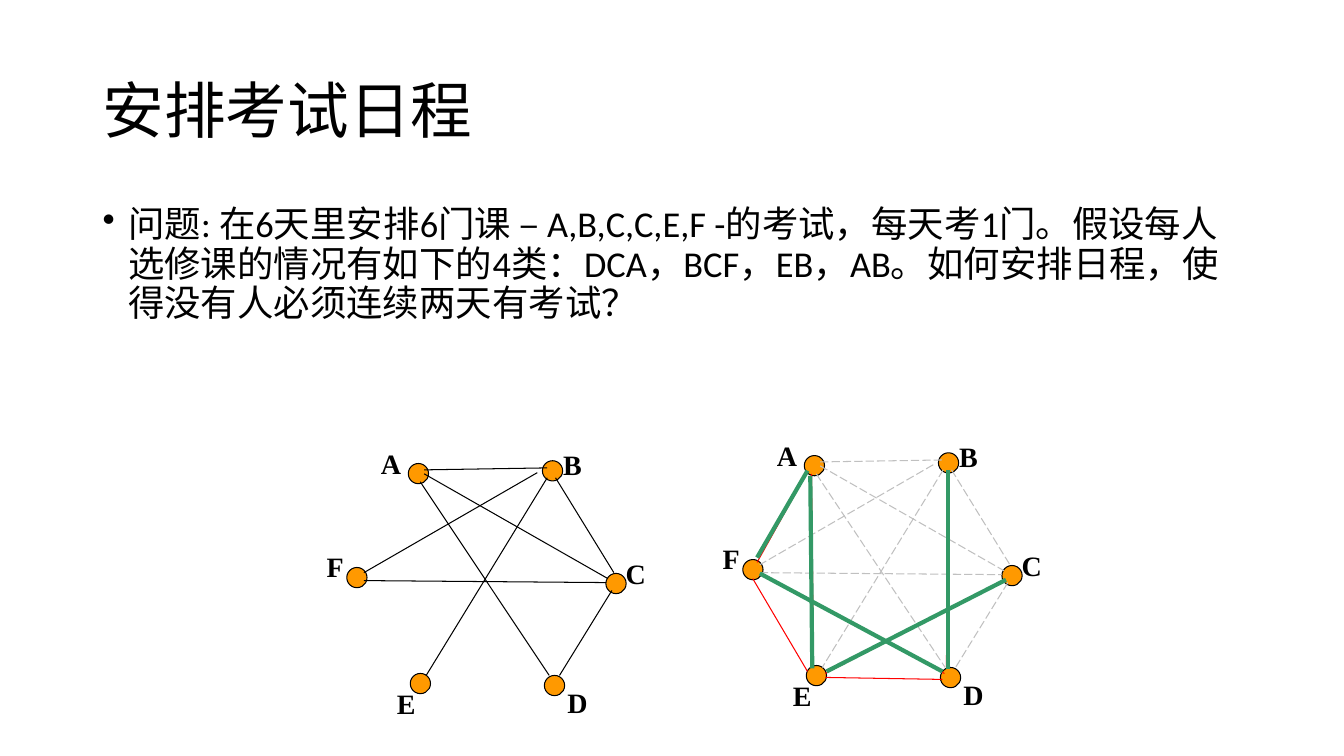
"""Build the exam-timetable slide with its conflict graph and the complement graph."""
from pptx import Presentation
from pptx import util as u
from pptx.dml.color import RGBColor
from pptx.enum import dml, shapes, text
from pptx.oxml.ns import qn

NODES = {"A": (10.29, 11.68), "B": (13.67, 11.61), "F": (8.74, 14.3),
         "C": (15.27, 14.45), "E": (10.34, 16.97), "D": (13.72, 17.02)}
LABELS = {"A": (9.35, 11.13), "B": (13.94, 11.15), "C": (15.52, 13.89),
          "D": (14.05, 17.15), "E": (9.75, 17.17), "F": (7.98, 13.72)}
CONFLICTS = [(10.59, 12.14, 13.84, 17.02), (10.69, 11.94, 15.32, 14.58),
             (15.42, 14.88, 14.1, 17.02), (14, 12.04, 15.47, 14.43),
             (13.54, 11.91, 9.17, 14.43), (9.17, 14.63, 15.27, 14.68),
             (13.79, 12.04, 10.74, 17.02), (10.69, 11.84, 13.79, 11.79)]
COMPATIBLE = [(20.35, 11.89, 19.08, 14.17), (20.45, 11.94, 20.5, 16.76),
              (23.9, 11.89, 23.85, 16.81), (25.32, 14.63, 20.8, 16.97),
              (19.18, 14.48, 23.8, 16.97), (20.8, 17.07, 23.75, 17.12),
              (18.97, 14.58, 20.35, 16.92)]
SCHEDULE = [(23.9, 11.84, 23.9, 16.87), (19.15, 14.45, 23.75, 16.92),
            (19.08, 14.05, 20.35, 11.86), (20.42, 11.99, 20.47, 16.84),
            (20.83, 16.92, 25.35, 14.61)]
QUESTION = ("问题: 在6天里安排6门课 – A,B,C,C,E,F -的考试，每天考1门。"
            "假设每人选修课的情况有如下的4类：DCA，BCF，EB，AB。"
            "如何安排日程，使得没有人必须连续两天有考试？")


def colour(value):
    return RGBColor.from_string(value)


class Sheet:
    """Hold the style and the current slide, and draw each kind of element."""
    black, node_fill = "000000", "FF9900"
    body_font, label_font = "Calibri", "Times New Roman"
    node_size, thin = 0.51, 0.75

    def __init__(self, page):
        self.page = page

    def label(self, words, left, top, width, height, size, font, bold=False):
        box = self.page.shapes.add_textbox(*map(u.Cm, (left, top, width, height)))
        box.text_frame.word_wrap = True
        para = box.text_frame.paragraphs[0]
        para.text = words
        para.font.size, para.font.name, para.font.bold = u.Pt(size), font, bold
        para.font.color.rgb = colour(self.black)
        return box.text_frame

    def title(self, words):
        frame = self.label(words, 2.34, 1.02, 29.21, 3.68, 44, self.body_font)
        frame.vertical_anchor = text.MSO_ANCHOR.MIDDLE
        frame.paragraphs[0].line_spacing = 0.9

    def bullet(self, words):
        frame = self.label(words, 2.34, 5.08, 29.21, 12.09, 26, self.body_font)
        para = frame.paragraphs[0]
        para.line_spacing, para.space_before = 0.9, u.Pt(10)
        props = para._p.get_or_add_pPr()
        indent = u.Cm(0.64)
        props.set("marL", str(indent))
        props.set("indent", str(-indent))
        mark = props.makeelement(qn("a:buChar"), {"char": "•"})
        props.find(qn("a:defRPr")).addprevious(mark)

    def node(self, left, top):
        dot = self.page.shapes.add_shape(
            shapes.MSO_SHAPE.OVAL, u.Cm(left), u.Cm(top),
            u.Cm(self.node_size), u.Cm(self.node_size))
        dot.shadow.inherit = False
        dot.fill.solid()
        dot.fill.fore_color.rgb = colour(self.node_fill)
        dot.line.color.rgb = colour(self.black)
        dot.line.width = u.Pt(self.thin)

    def edge(self, ends, tint, width=thin, dash=None):
        link = self.page.shapes.add_connector(
            shapes.MSO_CONNECTOR.STRAIGHT, *map(u.Cm, ends))
        link.line.color.rgb = colour(tint)
        link.line.width = u.Pt(width)
        if dash:
            link.line.dash_style = dash
        props = link._element.spPr
        props.append(props.makeelement(qn("a:effectLst"), {}))

    def graph(self, right, down, tint, dash=None):
        for left, top in NODES.values():
            self.node(left + right, top + down)
        for name, (left, top) in LABELS.items():
            self.label(name, left + right, top + down, 1.19, 1.09, 20,
                       self.label_font, True)
        for x1, y1, x2, y2 in CONFLICTS:
            self.edge((x1 + right, y1 + down, x2 + right, y2 + down), tint, dash=dash)


deck = Presentation()
deck.slide_width, deck.slide_height = u.Cm(33.87), u.Cm(19.05)
sheet = Sheet(deck.slides.add_slide(deck.slide_layouts[6]))
sheet.title("安排考试日程")
sheet.bullet(QUESTION)
sheet.graph(0, 0, "000000")
sheet.graph(9.98, -0.2, "C0C0C0", dml.MSO_LINE.LONG_DASH)
for ends in COMPATIBLE:
    sheet.edge(ends, "FF0000")
for ends in SCHEDULE:
    sheet.edge(ends, "339966", 3)
deck.save("out.pptx")
